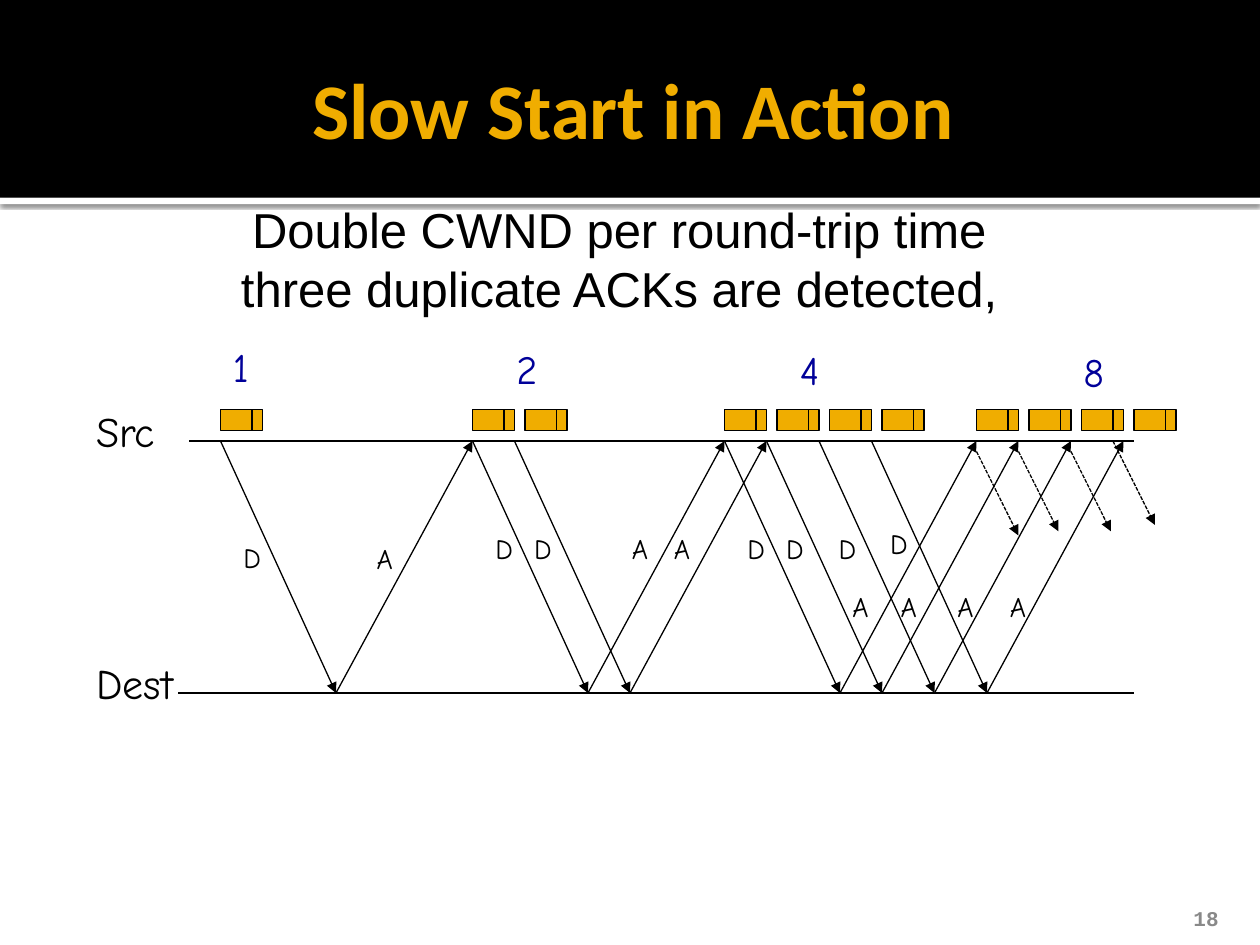
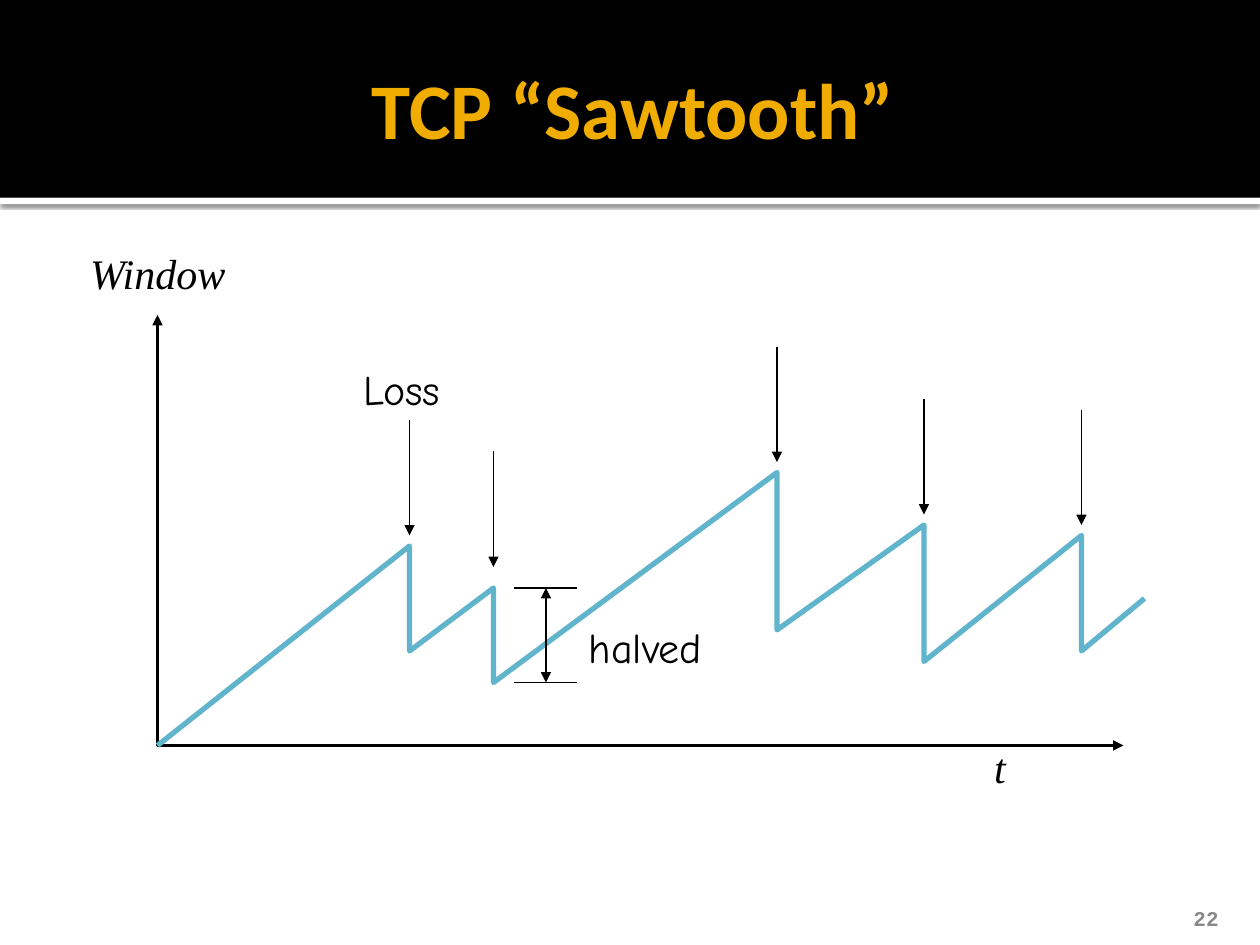
from pptx import Presentation
from pptx import util as u
from pptx.dml.color import RGBColor
from pptx.enum import dml, shapes, text
from pptx.oxml import ns, xmlchemy

COLS, ROWS = 120, 90
CELL = u.Inches(10) // COLS
COLORS = {
    "black": "000000",
    "white": "FFFFFF",
    "gold": "F0AD00",
    "blue": "60B5CC",
    "navy": "000099",
    "gray": "898989",
}
HAND, SERIF = "Comic Neue", "Times New Roman"
ALIGN = text.PP_ALIGN
ANCHOR = text.MSO_ANCHOR


def grid(*cells):
    return [u.Emu(round(c * CELL)) for c in cells]


def rgb(name):
    return RGBColor.from_string(COLORS[name])


def child(parent, tag, **attrs):
    el = xmlchemy.OxmlElement(tag)
    for key, value in attrs.items():
        el.set(key, str(value))
    parent.append(el)
    return el


def set_line(sp, width, color="black", dash=None, ends=()):
    sp.line.width = u.Pt(width)
    sp.line.color.rgb = rgb(color)
    if dash:
        sp.line.dash_style = dash
    ln = sp._element.spPr.find(ns.qn("a:ln"))
    for end in ends:
        child(ln, f"a:{end}End", type="triangle")


def add_line(s, x1, y1, x2, y2, ends=(), dash=None):
    sp = s.shapes.add_connector(shapes.MSO_CONNECTOR.STRAIGHT, *grid(x1, y1, x2, y2))
    set_line(sp, 0.75, dash=dash, ends=ends)
    child(sp._element.spPr, "a:effectLst")


def add_arrow(s, x1, y1, x2, y2, dash=None):
    add_line(s, x1, y1, x2, y2, ("tail",), dash)


def add_rect(s, x, y, w, h, fill, outlined=False):
    sp = s.shapes.add_shape(shapes.MSO_SHAPE.RECTANGLE, *grid(x, y, w, h))
    sp.shadow.inherit = False
    sp.fill.solid()
    sp.fill.fore_color.rgb = rgb(fill)
    if outlined:
        set_line(sp, 0.75)
    else:
        sp.line.fill.background()
    return sp


def add_outline(s, points, width, color, ends=()):
    builder = s.shapes.build_freeform(*points[0], scale=CELL)
    builder.add_line_segments(points[1:], close=False)
    sp = builder.convert_to_shape()
    sp.shadow.inherit = False
    sp.fill.background()
    set_line(sp, width, color, ends=ends)


def add_text(s, x, y, w, h, lines, size, font, color="black", bold=False, italic=False,
             align=ALIGN.LEFT, anchor=ANCHOR.TOP, insets=None):
    tf = s.shapes.add_textbox(*grid(x, y, w, h)).text_frame
    tf.word_wrap = insets is not None
    tf.vertical_anchor = anchor
    if insets:
        tf.margin_left, tf.margin_top, tf.margin_right, tf.margin_bottom = map(u.Inches, insets)
    else:
        tf.auto_size = text.MSO_AUTO_SIZE.SHAPE_TO_FIT_TEXT
    for i, line in enumerate(lines):
        p = tf.add_paragraph() if i else tf.paragraphs[0]
        p.alignment = align
        r = p.add_run()
        r.text = line
        r.font.size, r.font.name = u.Pt(size), font
        r.font.bold, r.font.italic = bold, italic
        r.font.color.rgb = rgb(color)


def add_band(s):
    strip = add_rect(s, 0, 18.84, COLS, 0.6, "white")
    effects = strip._element.spPr.find(ns.qn("a:effectLst"))
    shadow = child(effects, "a:outerShdw", blurRad=u.Pt(2.5), dist=u.Pt(0.8),
                   dir=90 * 60000, algn="tl", rotWithShape=0)
    child(child(shadow, "a:srgbClr", val=COLORS["black"]), "a:alpha", val=60000)
    add_rect(s, 0, 0, COLS, 18.84, "black")


def add_slide(prs, title, number):
    s = prs.slides.add_slide(prs.slide_layouts[6])
    add_band(s)
    add_text(s, 6, 2, 108, 16.5, [title], 45, "Calibri", "gold", bold=True,
             align=ALIGN.CENTER, anchor=ANCHOR.MIDDLE, insets=(0.1, 0.05, 0.05, 0.05))
    add_text(s, 107.64, 85, 9.6, 3.6, [number], 12, "Courier New", "gray", bold=True,
             align=ALIGN.RIGHT, anchor=ANCHOR.BOTTOM, insets=(0.1, 0.05, 0.1, 0))
    return s


def add_packet(s, col):
    add_rect(s, col, 39, 4, 2, "gold", outlined=True)
    add_line(s, col + 3, 39, col + 3, 41)


def add_round_trip(s, col, src, dest):
    add_arrow(s, col, src, col + 11, dest)
    add_arrow(s, col + 11, dest, col + 24, src)


def slow_start(prs):
    s = add_slide(prs, "Slow Start in Action", "18")
    src, dest = 42, 66
    add_text(s, 21.36, 18.4, 75.2, 18.1,
             ["Double CWND per round-trip time", "three duplicate ACKs are detected, "],
             28, "Arial", align=ALIGN.CENTER)
    add_line(s, 18, src, 108, src)
    add_line(s, 17, dest, 108, dest)
    for col in (21, 45, 49, 69, 73, 78, 83):
        add_round_trip(s, col, src, dest)

    for i, packets in enumerate((1, 2, 4, 4)):
        for j in range(packets):
            add_packet(s, 21 + 24 * i + 5 * j)
        width = 4.9 if i else 4.2
        add_text(s, 21 + 27 * i, 32 + 0.16 * i, width, 6.1, [str(2 ** i)], 23, HAND, "navy")

    for col, row, run in ((93, 43, 4), (97, 43, 3.8), (102, 43, 3.8), (106, 42, 4)):
        add_arrow(s, col, row, col + run, row + 2 * run, dml.MSO_LINE.SQUARE_DOT)

    labels = {
        "D": ((22, 50.9), (46, 50), (49.7, 50), (70, 50), (73.7, 50), (78.7, 50), (83.6, 49.6)),
        "A": ((34.7, 51), (59, 50), (63, 50), (80, 55.6), (84.6, 55.6), (90, 55.6), (95, 55.6)),
    }
    for letter, places in labels.items():
        for col, row in places:
            add_text(s, col, row, 4.3, 4.4, [letter], 16, HAND)
    add_text(s, 8, 38, 9.1, 6, ["Src"], 24, HAND)
    add_text(s, 8, 62, 11.3, 6, ["Dest"], 24, HAND)


def sawtooth(prs):
    s = add_slide(prs, "TCP “Sawtooth”", "22")
    teeth = [(39, 52, 62), (47, 56, 65), (74, 45, 60), (88, 50, 63), (103, 51, 62)]
    window = [(col, row) for col, *ends in teeth for row in ends]
    add_outline(s, [(15, 30), (15, 71), (107, 71)], 1.5, "black", ("head", "tail"))
    add_outline(s, [(15, 71), *window, (109, 57)], 3, "blue")
    add_text(s, 93.5, 70, 3.5, 6, ["t"], 24, SERIF, italic=True)
    add_text(s, 7.4, 23, 15.5, 6, ["Window"], 24, SERIF, italic=True)

    col, peak, halved = teeth[1]
    for row in (peak, halved):
        add_line(s, col + 2, row, col + 8, row)
    add_line(s, col + 5, peak, col + 5, halved, ("head", "tail"))
    add_text(s, 54.9, 58.6, 14.4, 6, ["halved"], 24, HAND)

    for (col, peak, _), gap in zip(teeth, (1, 2, 1, 1, 1)):
        add_arrow(s, col, peak - gap - 11, col, peak - gap)
    add_text(s, 33.4, 34, 10.6, 6, ["Loss"], 24, HAND)


def main():
    prs = Presentation()
    prs.slide_width, prs.slide_height = grid(COLS, ROWS)
    slow_start(prs)
    sawtooth(prs)
    prs.save("out.pptx")


if __name__ == "__main__":
    main()
